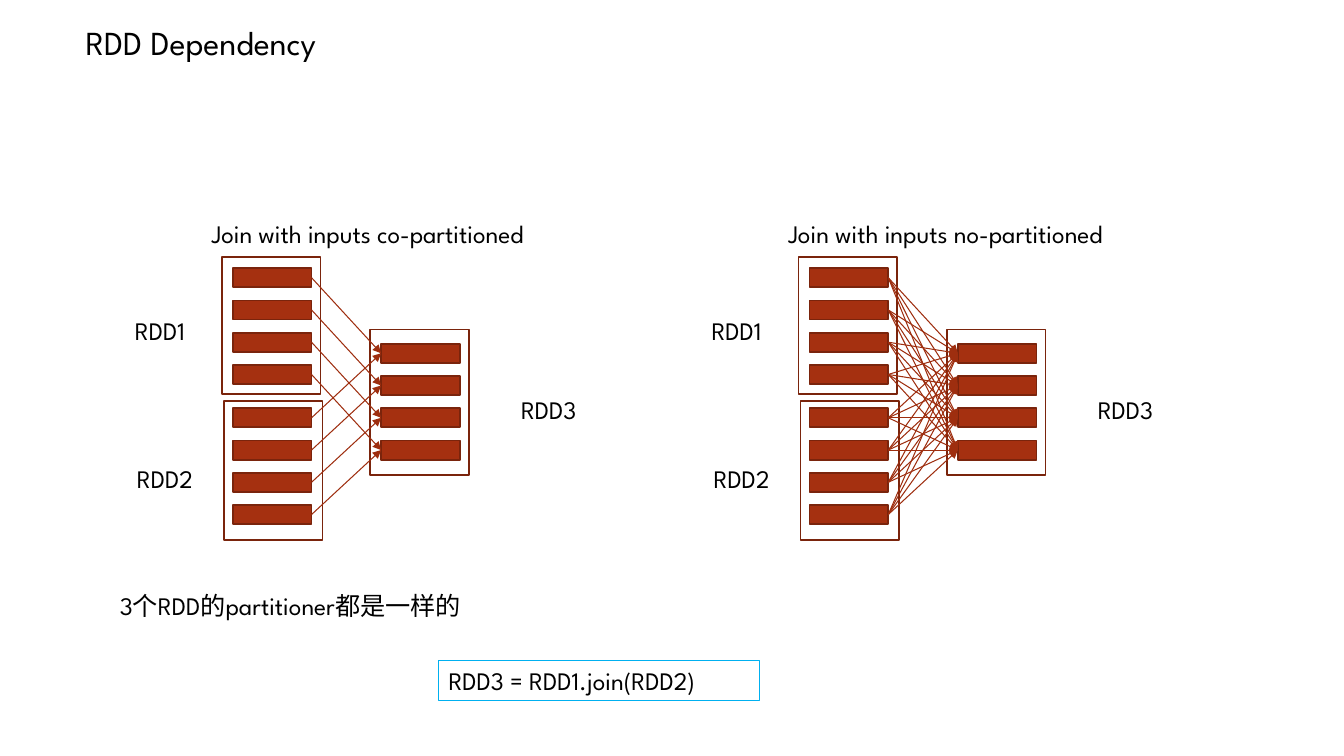
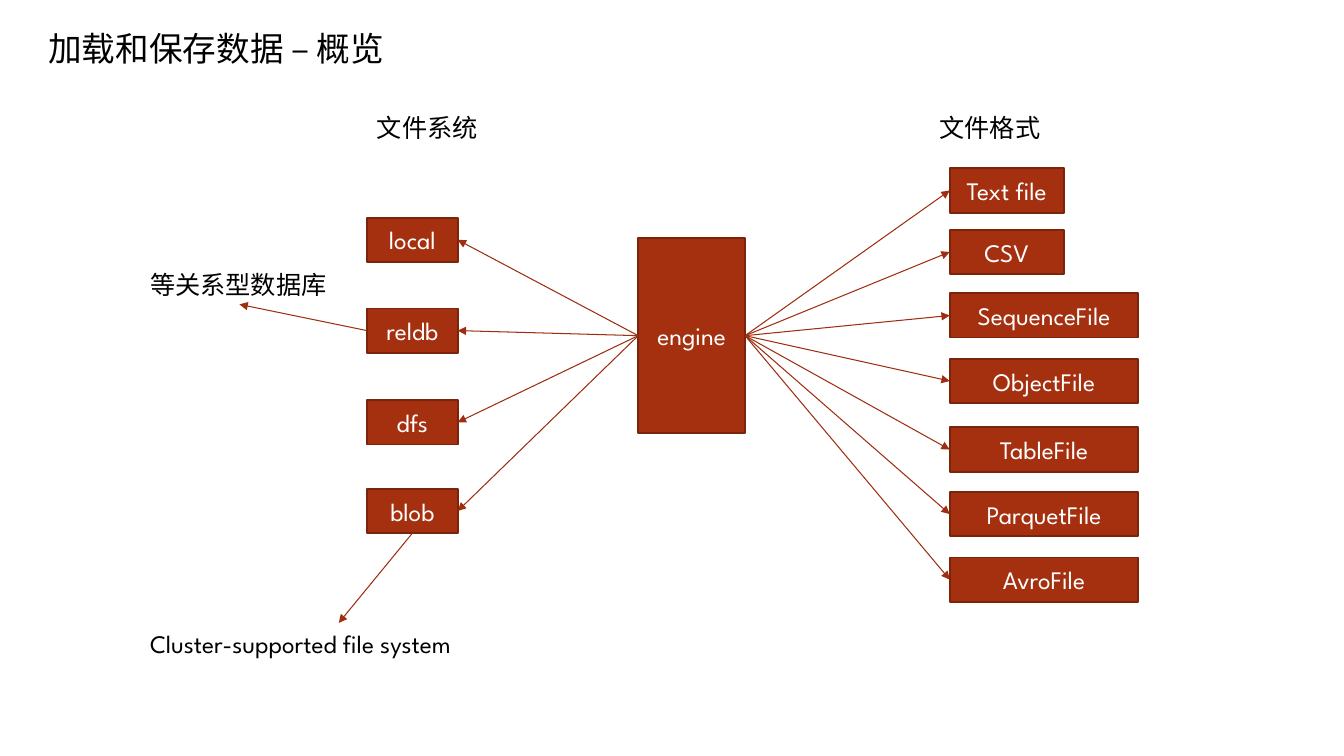
from itertools import product

from lxml.etree import SubElement
from pptx import Presentation
from pptx.dml.color import RGBColor
from pptx.enum.shapes import MSO_CONNECTOR, MSO_SHAPE
from pptx.enum.text import MSO_ANCHOR, MSO_AUTO_SIZE, PP_ALIGN
from pptx.oxml.ns import qn
from pptx.util import Inches, Pt

# Shared look
COLORS = {"text": "000000", "light": "FFFFFF", "block": "A53010",
          "edge": "7A240C", "arrow": "9E2E0F", "code": "00B0F0"}
FONT = "League Spartan"
TITLE_SIZE, BODY_SIZE = 24, 18
LABEL_FRAME = {"word_wrap": False, "auto_size": MSO_AUTO_SIZE.SHAPE_TO_FIT_TEXT,
               "vertical_anchor": MSO_ANCHOR.TOP}
BLOCK_FRAME = {"word_wrap": True, "vertical_anchor": MSO_ANCHOR.MIDDLE}
TOP, LEFT, BOTTOM, RIGHT = range(4)

# Slide 1: places are left, top, width, height
DEPENDENCY_TITLE = ("RDD Dependency", (0.75, 0.17, 3.18, 0.5))
PANEL_PITCH = 5.72
PANELS = [("Join with inputs co-partitioned", 3.34, True),
          ("Join with inputs no-partitioned", 3.87, False)]
# name, label left and top, frame, left and top of the first partition
RDDS = [
    ("RDD1", (1.24, 3.08), (2.2, 2.55, 0.98, 1.36), (2.31, 2.66)),
    ("RDD2", (1.26, 4.55), (2.22, 3.98, 0.98, 1.38), (2.31, 4.05)),
    ("RDD3", (5.07, 3.86), (3.67, 3.27, 0.98, 1.44), (3.78, 3.41)),
]
PARTITIONS, PARTITION_PITCH = 4, 0.32
PARTITION_WIDTH, PARTITION_HEIGHT = 0.78, 0.19
PARTITIONER_NOTE = ("3个RDD的partitioner都是一样的", (1.09, 5.81, 3.97, 0.4))
JOIN_CODE = ("RDD3 = RDD1.join(RDD2)", (4.35, 6.55, 3.18, 0.4))

# Slide 2
OVERVIEW_TITLE = ("加载和保存数据 – 概览", (0.38, 0.23, 3.59, 0.5))
HEADINGS = [("文件系统", (3.64, 1.07, 1.21, 0.4)),
            ("文件格式", (9.22, 1.07, 1.21, 0.4))]
ENGINE = ("engine", (6.33, 2.36, 1.06, 1.94))
BLOCK_HEIGHT = 0.44
SYSTEM_LEFT, SYSTEM_WIDTH = 3.64, 0.9
SYSTEMS = [("local", 2.16), ("reldb", 3.06), ("dfs", 3.97), ("blob", 4.85)]
FORMAT_LEFT = 9.42
FORMATS = [("Text file", 1.67, 1.13), ("CSV", 2.28, 1.13),
           ("SequenceFile", 2.91, 1.87), ("ObjectFile", 3.56, 1.87),
           ("TableFile", 4.24, 1.87), ("ParquetFile", 4.88, 1.87),
           ("AvroFile", 5.53, 1.87)]
# system, its side, note, place of the note, side of the note
SYSTEM_NOTES = [
    ("reldb", LEFT, "等关系型数据库", (1.39, 2.62, 1.97, 0.4), BOTTOM),
    ("blob", BOTTOM, "Cluster-supported file system", (1.39, 6.18, 3.94, 0.4), TOP),
]


def rgb(name):
    return RGBColor.from_string(COLORS[name])


def inches(place):
    return [Inches(value) for value in place]


def apply(target, values):
    for attribute, value in values.items():
        setattr(target, attribute, value)


def write(frame, text, frame_format, color="text", size=BODY_SIZE, align=PP_ALIGN.LEFT):
    apply(frame, frame_format)
    paragraph = frame.paragraphs[0]
    paragraph.alignment = align
    run = paragraph.add_run()
    run.text = text
    apply(run.font, {"name": FONT, "size": Pt(size), "bold": False})
    run.font.color.rgb = rgb(color)


def add_title_slide(deck, text, place):
    slide = deck.slides.add_slide(deck.slide_layouts[5])
    title = slide.shapes.title
    apply(title, dict(zip(("left", "top", "width", "height"), inches(place))))
    write(title.text_frame, text, LABEL_FRAME, size=TITLE_SIZE)
    return slide


def add_label(slide, text, place):
    label = slide.shapes.add_textbox(*inches(place))
    write(label.text_frame, text, LABEL_FRAME)
    return label


def add_box(slide, place, fill=None, edge="edge", weight=1.25):
    box = slide.shapes.add_shape(MSO_SHAPE.RECTANGLE, *inches(place))
    box.shadow.inherit = False
    if fill:
        box.fill.solid()
        box.fill.fore_color.rgb = rgb(fill)
    else:
        box.fill.background()
    box.line.color.rgb = rgb(edge)
    box.line.width = Pt(weight)
    return box


def add_block(slide, text, place):
    block = add_box(slide, place, "block")
    write(block.text_frame, text, BLOCK_FRAME, "light", align=PP_ALIGN.CENTER)
    return block


def add_arrow(slide, source, source_side, target, target_side):
    arrow = slide.shapes.add_connector(MSO_CONNECTOR.STRAIGHT, 0, 0, 0, 0)
    arrow.begin_connect(source, source_side)
    arrow.end_connect(target, target_side)
    arrow.line.color.rgb = rgb("arrow")
    arrow.line.width = Pt(0.75)
    properties = arrow._element.spPr
    SubElement(properties.find(qn("a:ln")), qn("a:tailEnd"), type="triangle")
    SubElement(properties, qn("a:effectLst"))


def add_rdd(slide, shift, name, label_at, frame, first):
    add_box(slide, (frame[0] + shift, *frame[1:]))
    add_label(slide, name, (label_at[0] + shift, label_at[1], 0.87, 0.4))
    return [add_box(slide, (first[0] + shift, first[1] + row * PARTITION_PITCH,
                            PARTITION_WIDTH, PARTITION_HEIGHT), "block")
            for row in range(PARTITIONS)]


def build_dependency(deck):
    slide = add_title_slide(deck, *DEPENDENCY_TITLE)
    for column, (heading, width, co_partitioned) in enumerate(PANELS):
        shift = column * PANEL_PITCH
        add_label(slide, heading, (2 + shift, 2.12, width, 0.4))
        *inputs, joined = [add_rdd(slide, shift, *rdd) for rdd in RDDS]
        # Co-partitioned inputs feed one partition each, others feed all
        for parts in inputs:
            pairs = zip(parts, joined) if co_partitioned else product(parts, joined)
            for source, target in pairs:
                add_arrow(slide, source, RIGHT, target, LEFT)
    add_label(slide, *PARTITIONER_NOTE)
    code, place = JOIN_CODE
    code_box = add_box(slide, place, edge="code", weight=0.75)
    write(code_box.text_frame, code, LABEL_FRAME)


def build_overview(deck):
    slide = add_title_slide(deck, *OVERVIEW_TITLE)
    for heading in HEADINGS:
        add_label(slide, *heading)
    engine = add_block(slide, *ENGINE)

    # File systems on the left
    systems = {}
    for name, top in SYSTEMS:
        systems[name] = add_block(slide, name, (SYSTEM_LEFT, top, SYSTEM_WIDTH, BLOCK_HEIGHT))
        add_arrow(slide, engine, LEFT, systems[name], RIGHT)
    for name, side, text, place, note_side in SYSTEM_NOTES:
        note = add_label(slide, text, place)
        add_arrow(slide, systems[name], side, note, note_side)

    # File formats on the right
    for name, top, width in FORMATS:
        file_format = add_block(slide, name, (FORMAT_LEFT, top, width, BLOCK_HEIGHT))
        add_arrow(slide, engine, RIGHT, file_format, LEFT)


def main():
    deck = Presentation()
    apply(deck, {"slide_width": Inches(13.33), "slide_height": Inches(7.5)})
    build_dependency(deck)
    build_overview(deck)
    deck.save("out.pptx")


if __name__ == "__main__":
    main()
